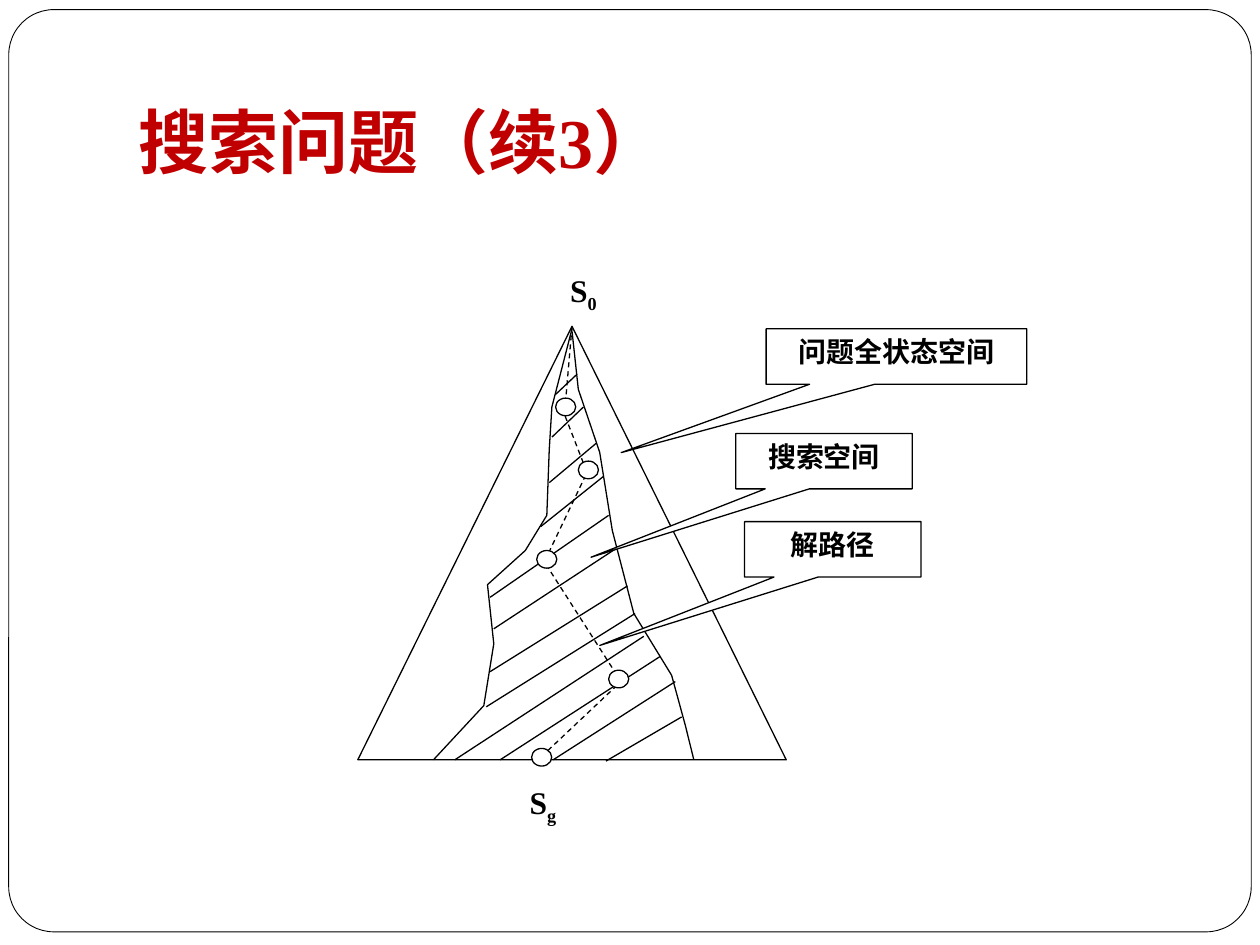
from lxml import etree
from pptx import Presentation
from pptx.dml.color import RGBColor
from pptx.enum.dml import MSO_LINE
from pptx.enum.shapes import MSO_CONNECTOR, MSO_SHAPE
from pptx.enum.text import MSO_ANCHOR, PP_ALIGN
from pptx.oxml.ns import qn
from pptx.util import Pt

ROUNDED = MSO_SHAPE.ROUNDED_RECTANGLE
TRIANGLE = MSO_SHAPE.FLOWCHART_EXTRACT
OVAL = MSO_SHAPE.OVAL
RECTANGLE = MSO_SHAPE.RECTANGLE
CALLOUT = MSO_SHAPE.RECTANGULAR_CALLOUT
STRAIGHT = MSO_CONNECTOR.STRAIGHT
DASH = MSO_LINE.DASH
TOP, BOTTOM = MSO_ANCHOR.TOP, MSO_ANCHOR.BOTTOM
LEFT, CENTER = PP_ALIGN.LEFT, PP_ALIGN.CENTER

FONT = "Times New Roman"
BLACK, WHITE, RED = "000000", "FFFFFF", "C00000"

LEFT_EDGE = [(122.4, 1.4), (110.9, 46.1), (109.4, 70.5), (108, 108), (95.7, 128.1),
             (74.1, 147.6), (77.7, 181.4), (72, 216.7), (43.2, 247.7)]
RIGHT_EDGE = [(122.4, 2.9), (126, 36), (138.2, 72), (145.4, 116.6), (157.7, 164.1),
              (179.3, 199.4), (187.2, 228.2), (192, 247.7)]
SOLUTION_PATH = [(122.4, 0), (118.1, 50.4), (131, 83.5), (106.6, 134.6),
                 (150.4, 203), (103, 247.7)]
HATCHES = [(141.8, 248.4, 185, 223.2), (111.6, 247.7, 181.4, 203),
           (81.3, 247.7, 172.8, 188.6), (55.4, 247.7, 163.4, 177.1),
           (73.4, 217.4, 158.4, 164.1), (75.6, 197.3, 154.1, 148.3),
           (77.7, 172.8, 146.9, 127.4), (75.6, 154.8, 143.3, 108),
           (104.4, 114.5, 140.4, 85.7), (109.4, 89.3, 136.1, 66.9),
           (110.9, 63.3, 128.9, 46.1), (113, 38.9, 125.3, 27.3)]
NODES = [(99.3, 241.2), (143.3, 196.5), (102.2, 128.1), (126, 77), (113, 41)]
STATES = [("0", 97.2, -35.3), ("g", 74.1, 257.7)]
CALLOUTS = [("问题全状态空间", 233.3, 1.4, 149, -1.056),
            ("搜索空间", 216, 61.2, 100.8, -1.321),
            ("解路径", 221, 111.6, 100.8, -1.321)]


def color(value):
    """Turn a hex string into a colour."""
    return RGBColor.from_string(value)


def style(shape, fill=None, line=BLACK, line_width=0.75):
    """Set fill and line, and take away the shadow."""
    shape.shadow.inherit = False
    if fill:
        shape.fill.solid()
        shape.fill.fore_color.rgb = color(fill)
    else:
        shape.fill.background()
    if line:
        shape.line.color.rgb = color(line)
        shape.line.width = Pt(line_width)
    else:
        shape.line.fill.background()


def add_shape(shapes, kind, left, top, width, height, **look):
    """Add a styled preset shape."""
    shape = shapes.add_shape(kind, Pt(left), Pt(top), Pt(width), Pt(height))
    style(shape, **look)
    return shape


def add_run(paragraph, text, size, hex_color=BLACK, baseline=None):
    """Add a bold run, shifted from the baseline if asked."""
    run = paragraph.add_run()
    run.text = text
    run.font.name, run.font.size, run.font.bold = FONT, Pt(size), True
    run.font.color.rgb = color(hex_color)
    if baseline:
        run._r.get_or_add_rPr().set("baseline", str(baseline))


def centered_paragraph(shape):
    """Return the first paragraph of a shape, centred at its top."""
    shape.text_frame.vertical_anchor = TOP
    paragraph = shape.text_frame.paragraphs[0]
    paragraph.alignment = CENTER
    return paragraph


def add_polyline(shapes, left, top, points):
    """Draw an open outline through points relative to the given corner."""
    corners = [(Pt(left + x), Pt(top + y)) for x, y in points]
    builder = shapes.build_freeform(*corners[0])
    builder.add_line_segments(corners[1:], close=False)
    outline = builder.convert_to_shape()
    style(outline)
    return outline


def add_hatch(shapes, left, top, ends):
    """Draw one hatch line relative to the given corner."""
    x1, y1, x2, y2 = ends
    hatch = shapes.add_connector(STRAIGHT, Pt(left + x1), Pt(top + y1),
                                 Pt(left + x2), Pt(top + y2))
    hatch.line.color.rgb = color(BLACK)
    hatch.line.width = Pt(0.75)
    etree.SubElement(hatch._element.spPr, qn("a:effectLst"))


def add_heading(slide, left, top, width, height):
    """Place and fill the title."""
    title = slide.shapes.title
    title.left, title.top, title.width, title.height = map(Pt, (left, top, width, height))
    frame = title.text_frame
    frame.word_wrap = True
    frame.vertical_anchor = BOTTOM
    frame.margin_left = frame.margin_right = frame.margin_bottom = Pt(7.2)
    frame.margin_top = Pt(3.6)
    frame.paragraphs[0].alignment = LEFT
    add_run(frame.paragraphs[0], "搜索问题（续3）", 40, RED)


def add_border(slide, left, top, width, height):
    """Put the rounded page border behind the title."""
    border = add_shape(slide.shapes, ROUNDED, left, top, width, height,
                       fill=WHITE, line_width=0.5)
    border.adjustments[0] = 0.049
    slide.shapes.title.element.addprevious(border.element)


def add_search_diagram(slide, left, top, width, height):
    """Draw the state space, the searched region, the path and the labels."""
    shapes = slide.shapes.add_group_shape().shapes
    add_shape(shapes, TRIANGLE, left, top, width, height)
    for edge in (LEFT_EDGE, RIGHT_EDGE):
        add_polyline(shapes, left, top, edge)
    add_polyline(shapes, left, top, SOLUTION_PATH).line.dash_style = DASH
    for ends in HATCHES:
        add_hatch(shapes, left, top, ends)
    for x, y in NODES:
        add_shape(shapes, OVAL, left + x, top + y, 11.5, 10.1, fill=WHITE)
    for subscript, x, y in STATES:
        state = add_shape(shapes, RECTANGLE, left + x, top + y, 63.4, 33.8,
                          fill=WHITE, line=None)
        paragraph = centered_paragraph(state)
        add_run(paragraph, "S", 18)
        add_run(paragraph, subscript, 18, baseline=-25000)
    for text, x, y, label_width, tip in CALLOUTS:
        callout = add_shape(shapes, CALLOUT, left + x, top + y, label_width, 31.7,
                            fill=WHITE)
        callout.adjustments[0], callout.adjustments[1] = tip, 1.733
        add_run(centered_paragraph(callout), text, 16)


def main():
    """Build and save the slide."""
    deck = Presentation()
    deck.slide_width, deck.slide_height = Pt(720), Pt(540)
    slide = deck.slides.add_slide(deck.slide_layouts[5])
    add_border(slide, 5, 5.5, 710, 527)
    add_heading(slide, 72, 21.6, 612, 90)
    add_search_diagram(slide, 204.5, 186.5, 244.8, 247.7)
    deck.save("out.pptx")


if __name__ == "__main__":
    main()
